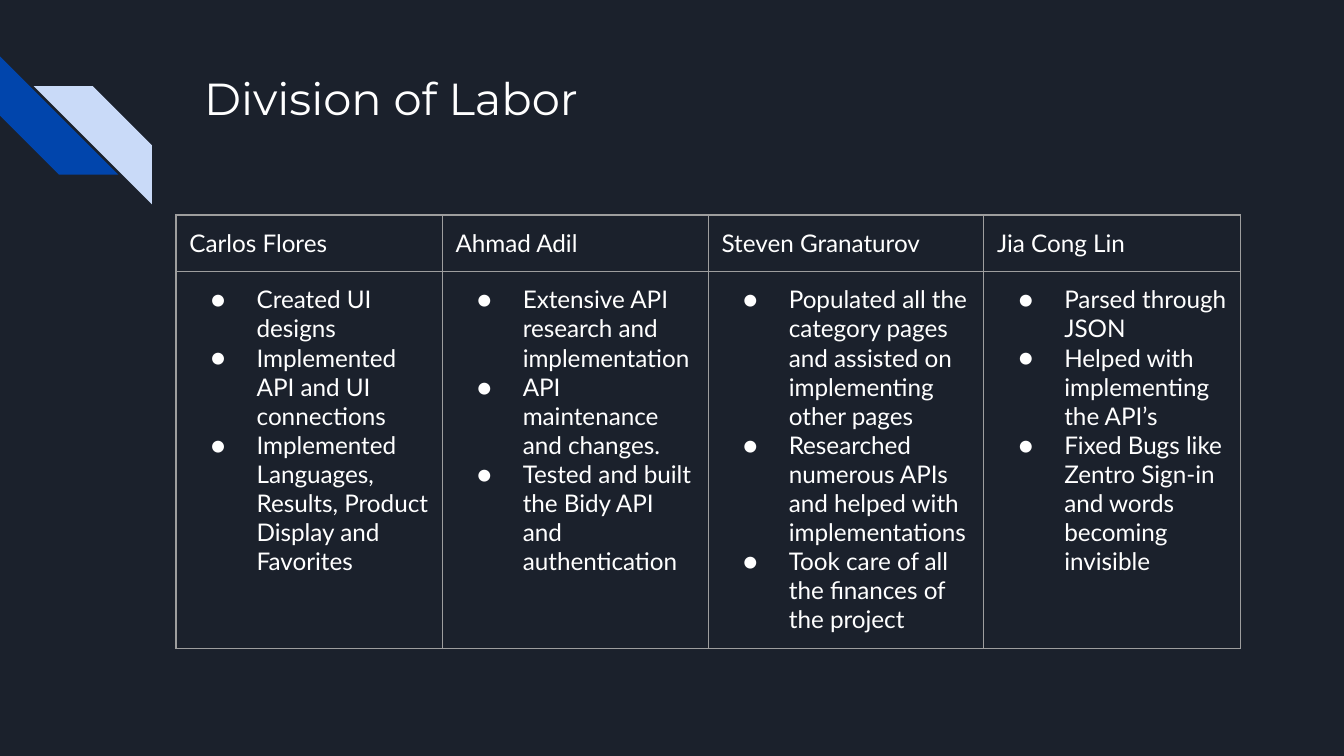
from dataclasses import dataclass

from lxml.etree import SubElement
from pptx import Presentation
from pptx.dml.color import RGBColor
from pptx.enum.shapes import MSO_SHAPE
from pptx.enum.text import MSO_ANCHOR
from pptx.oxml.ns import qn
from pptx.slide import Slide
from pptx.table import _Cell
from pptx.text.text import TextFrame, _Paragraph
from pptx.util import Inches, Pt


@dataclass(frozen=True)
class Theme:
    background: str = "1B212C"
    text: str = "FFFFFF"
    border: str = "9E9E9E"
    title_font: str = "Montserrat"
    body_font: str = "Lato"
    title_size: int = 24
    body_size: int = 13
    border_width: float = 0.75


@dataclass(frozen=True)
class Stripe:
    left: float
    top: float
    rotation: int
    color: str


@dataclass(frozen=True)
class Member:
    name: str
    width: float
    tasks: tuple[str, ...]


THEME = Theme()
SLIDE_WIDTH = 10
SLIDE_HEIGHT = SLIDE_WIDTH * 9 / 16
STRIPE_SIZE = 0.88
ROW_HEIGHTS = (0.42, 2.8)

STRIPES = (
    Stripe(0, 0.42, 270, "0145AC"),
    Stripe(0.25, 0.64, 90, "C9DAF8"),
)

MEMBERS = (
    Member("Carlos Flores", 1.98, (
        "Created UI designs",
        "Implemented API and UI connections",
        "Implemented Languages, Results, Product Display and Favorites",
    )),
    Member("Ahmad Adil", 1.98, (
        "Extensive API research and implementation",
        "API maintenance and changes.",
        "Tested and built the Bidy API and authentication",
    )),
    Member("Steven Granaturov", 2.05, (
        "Populated all the category pages and assisted on implementing other pages",
        "Researched numerous APIs and helped with implementations",
        "Took care of all the finances of the project",
    )),
    Member("Jia Cong Lin", 1.91, (
        "Parsed through JSON",
        "Helped with implementing the API’s",
        "Fixed Bugs like Zentro Sign-in and words becoming invisible",
    )),
)


def set_margins(target: TextFrame | _Cell) -> None:
    for side in ("left", "top", "right", "bottom"):
        setattr(target, f"margin_{side}", Inches(0.1))


def write(paragraph: _Paragraph, text: str, font_name: str, size: int) -> None:
    run = paragraph.add_run()
    run.text = text
    font_format = {"name": font_name, "size": Pt(size)}
    for attribute, value in font_format.items():
        setattr(run.font, attribute, value)
    run.font.color.rgb = RGBColor.from_string(THEME.text)


def add_bullet(paragraph: _Paragraph) -> None:
    properties = paragraph._p.get_or_add_pPr()
    properties.set("marL", str(Inches(0.5)))
    properties.set("indent", str(Inches(-0.34)))
    color = SubElement(properties, qn("a:buClr"))
    SubElement(color, qn("a:srgbClr"), val=THEME.text)
    SubElement(properties, qn("a:buSzPts"), val=str(THEME.body_size * 100))
    SubElement(properties, qn("a:buFont"), typeface=THEME.body_font)
    SubElement(properties, qn("a:buChar"), char="●")


def add_borders(cell: _Cell) -> None:
    properties = cell._tc.get_or_add_tcPr()
    for position, side in enumerate(("lnL", "lnR", "lnT", "lnB")):
        line = properties.makeelement(qn(f"a:{side}"), {"w": str(Pt(THEME.border_width))})
        fill = SubElement(line, qn("a:solidFill"))
        SubElement(fill, qn("a:srgbClr"), val=THEME.border)
        properties.insert(position, line)


def fill_cell(cell: _Cell, lines: tuple[str, ...], bulleted: bool) -> None:
    set_margins(cell)
    cell.fill.background()
    add_borders(cell)
    for index, text in enumerate(lines):
        frame = cell.text_frame
        paragraph = frame.add_paragraph() if index else frame.paragraphs[0]
        if bulleted:
            add_bullet(paragraph)
        write(paragraph, text, THEME.body_font, THEME.body_size)


def draw_stripe(slide: Slide, stripe: Stripe) -> None:
    shape = slide.shapes.add_shape(
        MSO_SHAPE.DIAGONAL_STRIPE, Inches(stripe.left), Inches(stripe.top),
        Inches(STRIPE_SIZE), Inches(STRIPE_SIZE))
    shape.adjustments[0] = 0.5
    shape.rotation = stripe.rotation
    shape.shadow.inherit = False
    shape.fill.solid()
    shape.fill.fore_color.rgb = RGBColor.from_string(stripe.color)
    shape.line.fill.background()


def draw_title(slide: Slide, text: str) -> None:
    box = slide.shapes.add_textbox(Inches(1.42), Inches(0.43), Inches(7.7), Inches(1))
    frame = box.text_frame
    set_margins(frame)
    frame_format = {"word_wrap": True, "vertical_anchor": MSO_ANCHOR.TOP}
    for attribute, value in frame_format.items():
        setattr(frame, attribute, value)
    write(frame.paragraphs[0], text, THEME.title_font, THEME.title_size)


def draw_table(slide: Slide, members: tuple[Member, ...]) -> None:
    total_width = sum(member.width for member in members)
    table = slide.shapes.add_table(
        len(ROW_HEIGHTS), len(members), Inches(1.31), Inches(1.6),
        Inches(total_width), Inches(sum(ROW_HEIGHTS))).table
    table.first_row = table.horz_banding = False
    for row, height in zip(table.rows, ROW_HEIGHTS):
        row.height = Inches(height)
    for index, member in enumerate(members):
        table.columns[index].width = Inches(member.width)
        fill_cell(table.cell(0, index), (member.name,), bulleted=False)
        fill_cell(table.cell(1, index), member.tasks, bulleted=True)


def main() -> None:
    presentation = Presentation()
    presentation.slide_width = Inches(SLIDE_WIDTH)
    presentation.slide_height = Inches(SLIDE_HEIGHT)
    slide = presentation.slides.add_slide(presentation.slide_layouts[6])

    # Background and corner decoration
    slide.background.fill.solid()
    slide.background.fill.fore_color.rgb = RGBColor.from_string(THEME.background)
    for stripe in STRIPES:
        draw_stripe(slide, stripe)

    # Title and the tasks of each member
    draw_title(slide, "Division of Labor")
    draw_table(slide, MEMBERS)

    presentation.save("out.pptx")


if __name__ == "__main__":
    main()
